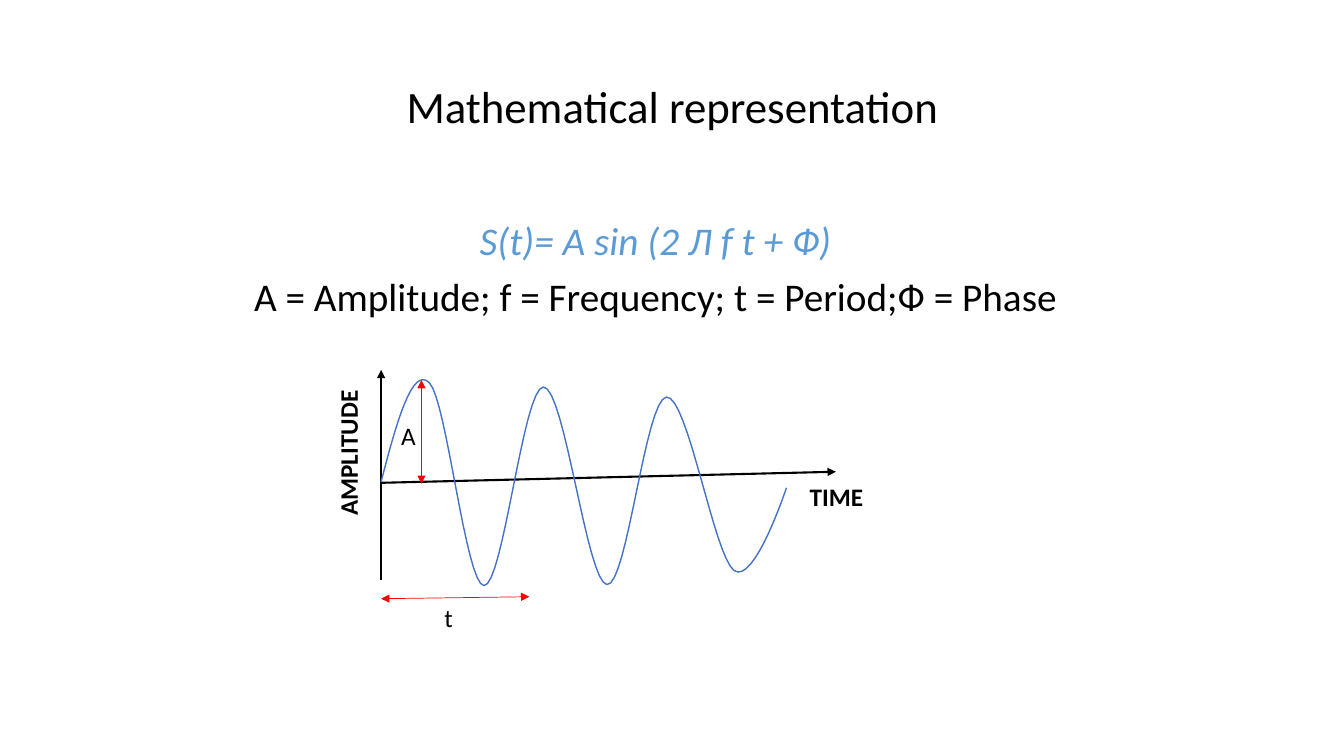
from lxml import etree
from pptx import Presentation
from pptx.dml.color import RGBColor
from pptx.enum.shapes import MSO_CONNECTOR
from pptx.enum.text import MSO_ANCHOR, PP_ALIGN
from pptx.oxml.ns import qn
from pptx.util import Inches, Pt

BLACK = RGBColor(0, 0, 0)
RED = RGBColor(0xFF, 0, 0)
FORMULA_BLUE = RGBColor(0x5B, 0x9B, 0xD5)
WAVE_BLUE = RGBColor(0x44, 0x72, 0xC4)
LEFT, CENTER = PP_ALIGN.LEFT, PP_ALIGN.CENTER
STRAIGHT = MSO_CONNECTOR.STRAIGHT
FONT = "Calibri"
CURVE_STEPS = 16

prs = Presentation()
prs.slide_width, prs.slide_height = Inches(13.33), Inches(7.5)
s = prs.slides.add_slide(prs.slide_layouts[5])


def format_paragraph(p, text, size, color=BLACK, align=CENTER):
    p.text = text
    p.alignment = align
    p.font.name = FONT
    p.font.size = Pt(size)
    p.font.color.rgb = color


def add_arrow(start, end, color, width, arrowheads):
    line = s.shapes.add_connector(STRAIGHT, *map(Inches, start + end))
    line.line.color.rgb = color
    line.line.width = Pt(width)
    ln = line.line._get_or_add_ln()
    for head in arrowheads:
        etree.SubElement(ln, qn("a:" + head), type="triangle")
    etree.SubElement(line._element.spPr, qn("a:effectLst"))


# Title
title = s.shapes.title
title.left, title.top = Inches(0.92), Inches(0.71)
title.width, title.height = Inches(11.5), Inches(0.75)
title.text_frame.vertical_anchor = MSO_ANCHOR.MIDDLE
p = title.text_frame.paragraphs[0]
format_paragraph(p, "Mathematical representation", 32)
p.line_spacing = 0.9

# Formula and its symbols
formula = s.shapes.add_textbox(Inches(0.75), Inches(2.15), Inches(11.5), Inches(1.1))
tf = formula.text_frame
tf.word_wrap = True
p = tf.paragraphs[0]
format_paragraph(p, "S(t)= A sin (2 Л f t + Ф)", 28, FORMULA_BLUE)
p.font.italic = True
p.line_spacing = 0.9
p = tf.add_paragraph()
format_paragraph(p, "A = Amplitude; f = Frequency; t = Period;Ф = Phase", 28)
p.line_spacing = 0.9
p.space_before = Pt(10)

# Axes
add_arrow((3.78, 5.75), (3.78, 3.67), BLACK, 1.5, ["tailEnd"])
add_arrow((3.78, 4.79), (8.29, 4.68), BLACK, 1.5, ["tailEnd"])

# Damped sine wave: Bezier pieces as (control, control, end)
wave_start = (3.78, 4.78)
wave_pieces = [
    ((3.93, 4.20), (4.09, 3.62), (4.26, 3.80)),
    ((4.43, 3.97), (4.62, 5.80), (4.80, 5.81)),
    ((4.99, 5.82), (5.19, 3.84), (5.39, 3.84)),
    ((5.60, 3.84), (5.82, 5.78), (6.02, 5.80)),
    ((6.22, 5.82), (6.40, 3.96), (6.61, 3.94)),
    ((6.82, 3.92), (7.08, 5.51), (7.28, 5.66)),
    ((7.48, 5.81), (7.80, 4.84), (7.80, 4.84)),
]
points = []
begin = wave_start
for c1, c2, end in wave_pieces:
    for step in range(1, CURVE_STEPS + 1):
        t = step / CURVE_STEPS
        u = 1 - t
        points.append([
            Inches(u**3 * a + 3 * u * u * t * b + 3 * u * t * t * c + t**3 * d)
            for a, b, c, d in zip(begin, c1, c2, end)
        ])
    begin = end
builder = s.shapes.build_freeform(*map(Inches, wave_start))
builder.add_line_segments(points, close=False)
wave = builder.convert_to_shape()
wave.shadow.inherit = False
wave.fill.background()
wave.line.color.rgb = WAVE_BLUE
wave.line.width = Pt(1)

# Amplitude and period measures
for start, end in [((4.18, 3.77), (4.18, 4.8)), ((3.78, 5.94), (5.25, 5.92))]:
    add_arrow(start, end, RED, 0.5, ["headEnd", "tailEnd"])

# Labels: text, left, top, width, height, rotation, bold, alignment
labels = [
    ("TIME", 6.84, 4.73, 2.91, 0.4, 0, True, CENTER),
    ("AMPLITUDE", 1.76, 4.32, 3.33, 0.35, 270, True, CENTER),
    ("t", 4.31, 5.93, 0.41, 0.4, 0, False, LEFT),
    ("A", 3.88, 4.12, 0.41, 0.4, 0, False, LEFT),
]
for text, left, top, width, height, rotation, bold, align in labels:
    sp = s.shapes.add_textbox(*map(Inches, (left, top, width, height)))
    sp.rotation = rotation
    sp.text_frame.word_wrap = True
    p = sp.text_frame.paragraphs[0]
    format_paragraph(p, text, 18, align=align)
    p.font.bold = bold

prs.save("out.pptx")
